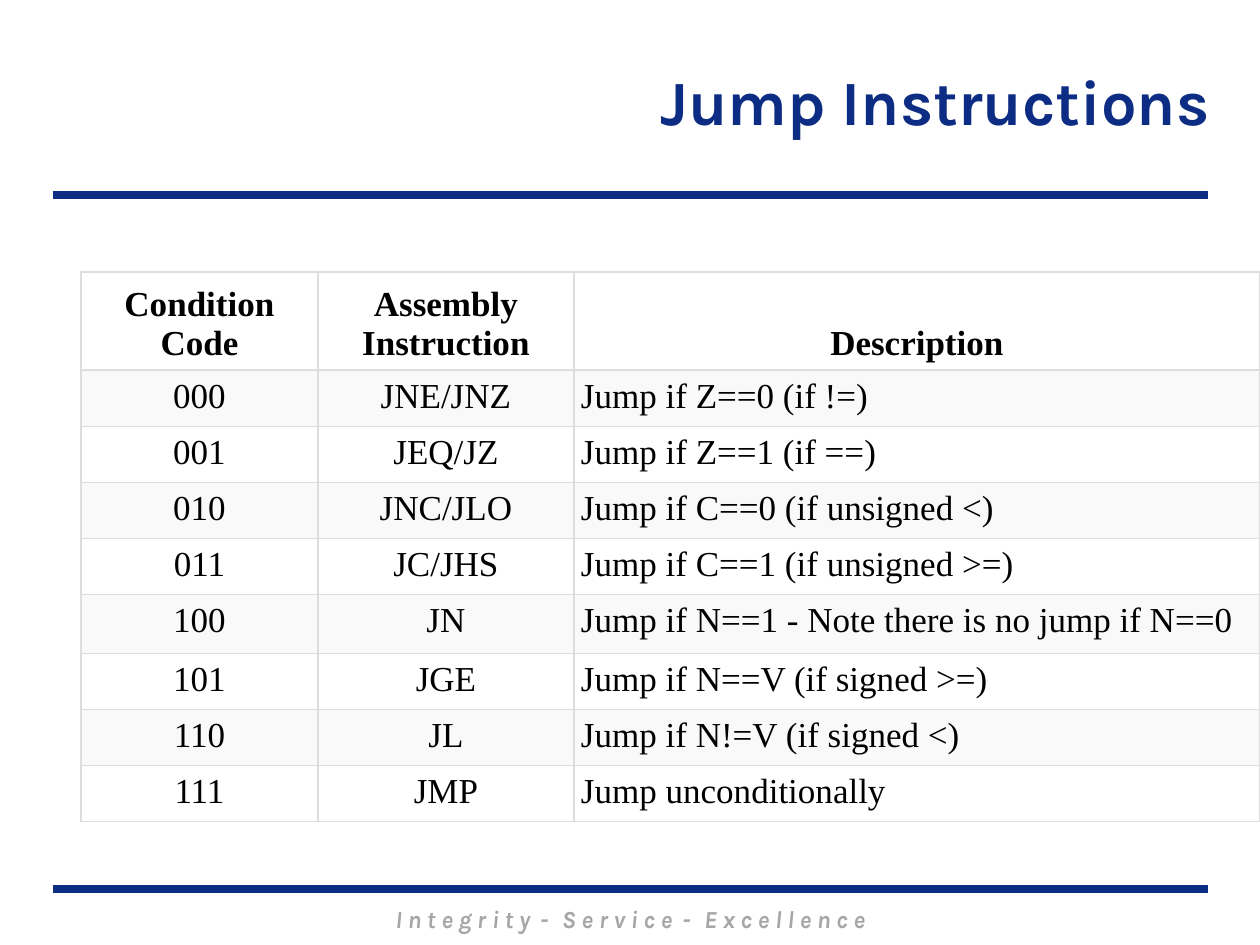
"""Build the jump instructions slide."""
from dataclasses import dataclass
from itertools import pairwise

from lxml import etree
from pptx import Presentation
from pptx.dml.color import RGBColor
from pptx.enum.shapes import MSO_CONNECTOR
from pptx.enum.text import MSO_ANCHOR, PP_ALIGN
from pptx.oxml.ns import qn
from pptx.util import Pt

STRAIGHT = MSO_CONNECTOR.STRAIGHT
TOP, MIDDLE, BOTTOM = MSO_ANCHOR.TOP, MSO_ANCHOR.MIDDLE, MSO_ANCHOR.BOTTOM
LEFT, CENTER, RIGHT = PP_ALIGN.LEFT, PP_ALIGN.CENTER, PP_ALIGN.RIGHT
EMU_PER_PX = 914400 / 126
BLANK_LAYOUT = 6


@dataclass(frozen=True)
class Theme:
    navy: str = "0C2D83"
    grey: str = "A6A6A6"
    ink: str = "000000"
    border: str = "DDDDDD"
    white: str = "FFFFFF"
    stripe: str = "F9F9F9"
    display_font: str = "Karla"
    table_font: str = "Times New Roman"
    title_size: int = 36
    motto_size: int = 14
    table_size: int = 20
    rule_width: float = 4.5
    border_width: float = 0.75


@dataclass(frozen=True)
class Style:
    font: str
    size: int
    color: str
    bold: bool = False
    italic: bool = False


@dataclass(frozen=True)
class Banner:
    left: int
    top: int
    width: int
    height: int
    pieces: tuple[str, ...]
    align: PP_ALIGN
    anchor: MSO_ANCHOR
    style: Style


@dataclass(frozen=True)
class Jump:
    code: str
    instruction: str
    description: str


THEME = Theme()
HEADER_STYLE = Style(THEME.table_font, THEME.table_size, THEME.ink, bold=True)
BODY_STYLE = Style(THEME.table_font, THEME.table_size, THEME.ink)
SEPARATOR = " - "
SEPARATOR_SPACING = "230"
RULE_LEFT, RULE_RIGHT = 53, 1208
RULE_TOPS = (889, 195)
COLUMN_EDGES = (81, 318, 574, 1260)
ROW_EDGES = (272, 364, 418, 471, 525, 578, 637, 690, 744, 797)
CELL_INSET = 7

BANNERS = (
    Banner(179, 898, 903, 43,
           ("I n t e g r i t y", SEPARATOR, "S e r v i c e", SEPARATOR, "E x c e l l e n c e"),
           CENTER, TOP,
           Style(THEME.display_font, THEME.motto_size, THEME.grey, bold=True, italic=True)),
    Banner(252, 25, 970, 151, ("Jump Instructions",), RIGHT, MIDDLE,
           Style(THEME.display_font, THEME.title_size, THEME.navy, bold=True)),
)

JUMPS = (
    Jump("Condition Code", "Assembly Instruction", "Description"),
    Jump("000", "JNE/JNZ", "Jump if Z==0 (if !=)"),
    Jump("001", "JEQ/JZ", "Jump if Z==1 (if ==)"),
    Jump("010", "JNC/JLO", "Jump if C==0 (if unsigned <)"),
    Jump("011", "JC/JHS", "Jump if C==1 (if unsigned >=)"),
    Jump("100", "JN", "Jump if N==1 - Note there is no jump if N==0"),
    Jump("101", "JGE", "Jump if N==V (if signed >=)"),
    Jump("110", "JL", "Jump if N!=V (if signed <)"),
    Jump("111", "JMP", "Jump unconditionally"),
)


def px(length: int) -> int:
    """Turn pixels into EMU."""
    return round(length * EMU_PER_PX)


def style_font(font, style: Style) -> None:
    """Apply a text style to a font."""
    values = {"name": style.font, "size": Pt(style.size),
              "bold": style.bold, "italic": style.italic}
    for attribute, value in values.items():
        setattr(font, attribute, value)
    font.color.rgb = RGBColor.from_string(style.color)


def draw_rule(slide, top: int) -> None:
    """Draw a horizontal rule across the slide."""
    rule = slide.shapes.add_connector(STRAIGHT, px(RULE_LEFT), px(top), px(RULE_RIGHT), px(top))
    rule.line.color.rgb = RGBColor.from_string(THEME.navy)
    rule.line.width = Pt(THEME.rule_width)
    etree.SubElement(rule._element.spPr, qn("a:effectLst"))


def draw_banner(slide, banner: Banner) -> None:
    """Draw a line of display text."""
    box = slide.shapes.add_textbox(px(banner.left), px(banner.top),
                                   px(banner.width), px(banner.height))
    frame = box.text_frame
    frame.word_wrap = True
    frame.vertical_anchor = banner.anchor
    paragraph = frame.paragraphs[0]
    paragraph.alignment = banner.align
    for piece in banner.pieces:
        run = paragraph.add_run()
        run.text = piece
        style_font(run.font, banner.style)
        if piece == SEPARATOR:
            run._r.get_or_add_rPr().set("spc", SEPARATOR_SPACING)


def border_cell(cell) -> None:
    """Put a thin border on all four sides of a cell."""
    properties = cell._tc.get_or_add_tcPr()
    for side in ("lnL", "lnR", "lnT", "lnB"):
        edge = etree.SubElement(properties, qn(f"a:{side}"), w=str(Pt(THEME.border_width)))
        fill = etree.SubElement(edge, qn("a:solidFill"))
        etree.SubElement(fill, qn("a:srgbClr"), val=THEME.border)


def fill_cell(cell, text: str, align: PP_ALIGN, anchor: MSO_ANCHOR,
              style: Style, background: str) -> None:
    """Write and format one table cell."""
    border_cell(cell)
    cell.fill.solid()
    cell.fill.fore_color.rgb = RGBColor.from_string(background)
    for side in ("left", "right", "top", "bottom"):
        setattr(cell, f"margin_{side}", px(CELL_INSET))
    cell.vertical_anchor = anchor
    paragraph = cell.text_frame.paragraphs[0]
    paragraph.alignment = align
    run = paragraph.add_run()
    run.text = text
    style_font(run.font, style)


def draw_jump_table(slide) -> None:
    """Draw the table of jump instructions."""
    left, top = COLUMN_EDGES[0], ROW_EDGES[0]
    table = slide.shapes.add_table(
        len(JUMPS), len(COLUMN_EDGES) - 1, px(left), px(top),
        px(COLUMN_EDGES[-1] - left), px(ROW_EDGES[-1] - top)).table
    table.horz_banding = False
    for column, (start, end) in zip(table.columns, pairwise(COLUMN_EDGES)):
        column.width = px(end - start)
    for row, (start, end) in zip(table.rows, pairwise(ROW_EDGES)):
        row.height = px(end - start)
    for index, jump in enumerate(JUMPS):
        header = index == 0
        style = HEADER_STYLE if header else BODY_STYLE
        anchor = BOTTOM if header else TOP
        background = THEME.stripe if index % 2 else THEME.white
        texts = (jump.code, jump.instruction, jump.description)
        aligns = (CENTER, CENTER, CENTER if header else LEFT)
        for cell, text, align in zip(table.rows[index].cells, texts, aligns):
            fill_cell(cell, text, align, anchor, style, background)


def main() -> None:
    """Build and save the slide."""
    deck = Presentation()
    deck.slide_width, deck.slide_height = px(1260), px(945)
    slide = deck.slides.add_slide(deck.slide_layouts[BLANK_LAYOUT])
    for top in RULE_TOPS:
        draw_rule(slide, top)
    for banner in BANNERS:
        draw_banner(slide, banner)
    draw_jump_table(slide)
    deck.save("out.pptx")


if __name__ == "__main__":
    main()
